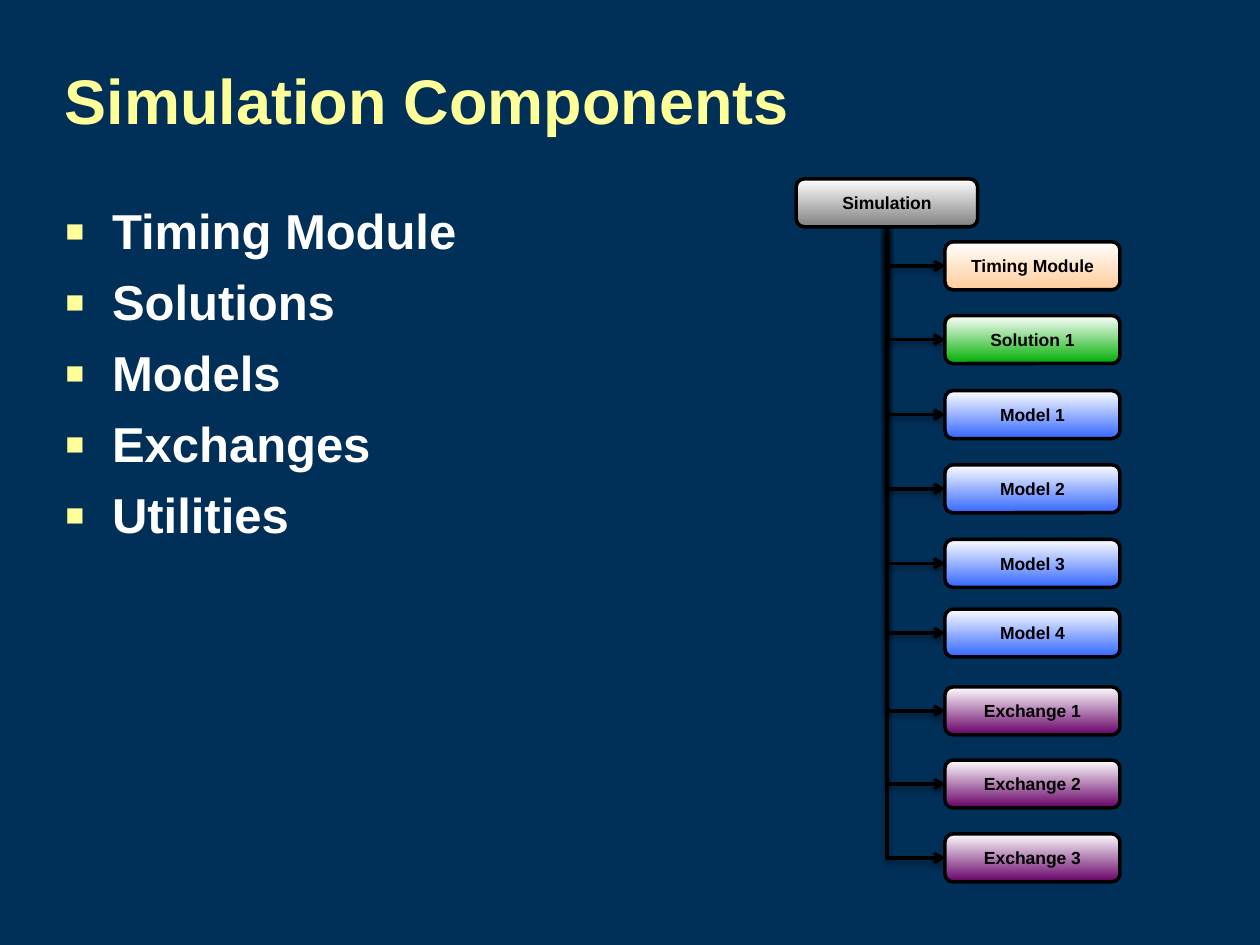
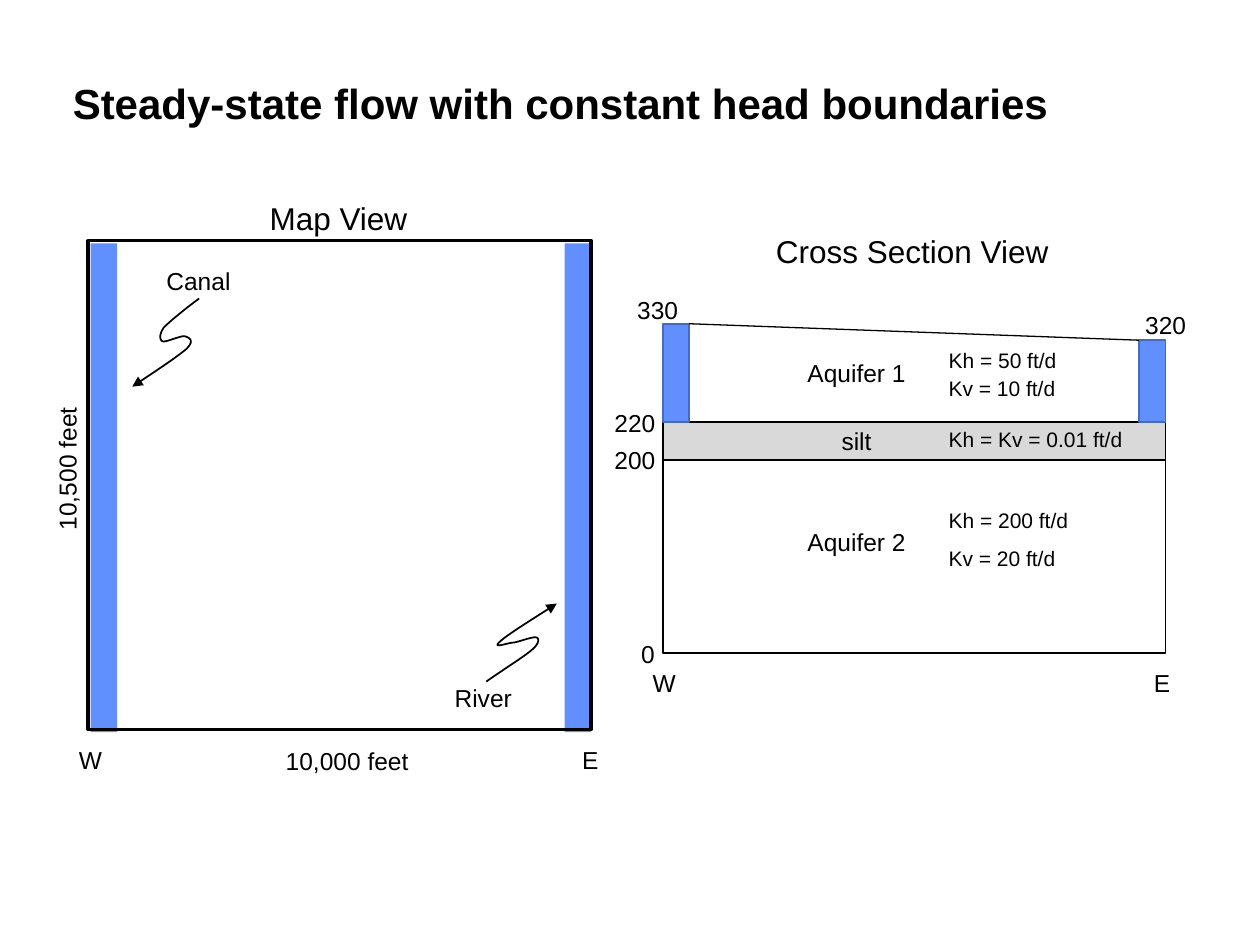
import pptx
import pptx.util
import pptx.dml.color
import pptx.enum.shapes
import pptx.enum.text
import pptx.oxml
import pptx.oxml.ns

Pt = pptx.util.Pt
hue = pptx.dml.color.RGBColor.from_string
qn = pptx.oxml.ns.qn
KIND = pptx.enum.shapes.MSO_SHAPE
LINK = pptx.enum.shapes.MSO_CONNECTOR
TEXT = pptx.enum.text
SPACE = 'xmlns:a="http://schemas.openxmlformats.org/drawingml/2006/main"'

# Shared colours and text looks
NAVY, CREAM, WHITE, BLACK = "002F57", "FFFF99", "FFFFFF", "000000"
WATER, SHORE, SILT = "618FFD", "486ABB", "D9D9D9"
TITLE = {"word_wrap": True, "vertical_anchor": TEXT.MSO_ANCHOR.MIDDLE}
BODY = {"word_wrap": True, "margin_top": Pt(6.6)}
NODE = {"word_wrap": True, "vertical_anchor": TEXT.MSO_ANCHOR.MIDDLE}
LABEL = {"word_wrap": False, "auto_size": TEXT.MSO_AUTO_SIZE.SHAPE_TO_FIT_TEXT}


def write(shape, lines, size, ink, look, bold=False):
    """Fill a shape with one paragraph per line."""
    frame = shape.text_frame
    for name, value in look.items():
        setattr(frame, name, value)
    frame.text = "\n".join(lines)
    for para in frame.paragraphs:
        for run in para.runs:
            font = {"name": "Arial", "size": Pt(size), "bold": bold}
            for name, value in font.items():
                setattr(run.font, name, value)
            run.font.color.rgb = hue(ink)
    return frame


def box(slide, kind, at, fill, edge, width):
    """Add a preset shape; fill and edge may be None."""
    shape = slide.shapes.add_shape(kind, *map(Pt, at))
    shape.shadow.inherit = False
    if fill:
        shape.fill.solid()
        shape.fill.fore_color.rgb = hue(fill)
    else:
        shape.fill.background()
    if edge:
        shape.line.color.rgb = hue(edge)
        shape.line.width = Pt(width)
    else:
        shape.line.fill.background()
    return shape


deck = pptx.Presentation()
deck.slide_width, deck.slide_height = Pt(720), Pt(540)

# Both slides: background and title
heads = [
    ("Simulation Components", (30, 12, 654, 90), 36, CREAM, NAVY),
    ("Steady-state flow with constant head boundaries",
     (34.5, 21.6, 646, 74), 24, BLACK, WHITE),
]
pages = []
for text, at, size, ink, back in heads:
    page = deck.slides.add_slide(deck.slide_layouts[6])
    page.background.fill.solid()
    page.background.fill.fore_color.rgb = hue(back)
    write(page.shapes.add_textbox(*map(Pt, at)), [text], size, ink, TITLE, True)
    pages.append(page)
tree, flow = pages

# Slide 1: bullet list
parts = ["Timing Module", "Solutions", "Models", "Exchanges", "Utilities"]
body = tree.shapes.add_textbox(Pt(30), Pt(108), Pt(654), Pt(354))
frame = write(body, parts, 28, WHITE, BODY, True)
for rank, para in enumerate(frame.paragraphs):
    para.space_before = Pt(7 if rank else 0)
    props = para._p.get_or_add_pPr()
    props.set("marL", str(Pt(27)))
    props.set("indent", str(Pt(-27)))
    for mark in (f'<a:buClr {SPACE}><a:srgbClr val="{CREAM}"/></a:buClr>',
                 f'<a:buSzPct {SPACE} val="125000"/>',
                 f'<a:buFont {SPACE} typeface="Arial"/>',
                 f'<a:buChar {SPACE} char="▪"/>'):
        props.append(pptx.oxml.parse_xml(mark))

# Slide 1: component tree, name / left / top / width / colour
GREEN, BLUE, PLUM = "00AE00", "3366FF", "660066"
high = 27.4
nodes = [("Simulation", 455, 102.2, 103.7, "808080")]
nodes += [(name, 540, top, 100, tone) for name, top, tone in [
    ("Timing Module", 138.2, "FFCC99"),
    ("Solution 1", 180.3, GREEN),
    ("Model 1", 223.2, BLUE),
    ("Model 2", 265.6, BLUE),
    ("Model 3", 308.2, BLUE),
    ("Model 4", 348, BLUE),
    ("Exchange 1", 392.5, PLUM),
    ("Exchange 2", 434.3, PLUM),
    ("Exchange 3", 476.5, PLUM),
]]
for name, left, top, wide, tone in nodes:
    node = box(tree, KIND.ROUNDED_RECTANGLE, (left, top, wide, high),
               tone, BLACK, 2)
    node.fill.gradient()
    node.fill.gradient_angle = 90
    for stop, tint, spot in zip(node.fill.gradient_stops, (tone, WHITE), (0, 1)):
        stop.color.rgb = hue(tint)
        stop.position = spot
    frame = write(node, [name], 10, BLACK, NODE, True)
    frame.paragraphs[0].alignment = TEXT.PP_ALIGN.CENTER

# Slide 1: one bent arrow from the root to each component
trunk, root = 506.9, 102.2 + high
for name, left, top, wide, tone in nodes[1:]:
    drop, run = top + high / 2 - root, left - trunk
    midx, midy = trunk + run / 2, root + drop / 2
    # The turned frame swaps width and height about its centre
    arm = tree.shapes.add_connector(
        LINK.ELBOW, Pt(midx + drop / 2), Pt(midy - run / 2),
        Pt(midx - drop / 2), Pt(midy + run / 2))
    arm.line.color.rgb = hue(BLACK)
    arm.line.width = Pt(2)
    props = arm.element.spPr
    props.find(qn("a:xfrm")).set("rot", "16200000")
    props.find(qn("a:prstGeom")).set("prst", "bentConnector2")
    props.find(qn("a:ln")).append(
        pptx.oxml.parse_xml(f'<a:tailEnd {SPACE} type="arrow"/>'))
    props.append(pptx.oxml.parse_xml(
        f'<a:effectLst {SPACE}><a:outerShdw blurRad="40000" dist="20000" '
        f'dir="5400000" rotWithShape="0"><a:srgbClr val="{BLACK}">'
        '<a:alpha val="38000"/></a:srgbClr></a:outerShdw></a:effectLst>'))

# Slide 2: map and cross section, place / fill / edge / width
for at, fill, edge, width in [
    ((322.6, 139, 15.1, 279.4), WATER, None, 0),
    ((51.8, 139, 15.1, 279.4), WATER, None, 0),
    ((50.4, 137.5, 287.3, 279.4), None, BLACK, 2),
    ((378.7, 262.8, 287.3, 110.2), WHITE, BLACK, 1),
    ((378.7, 241.2, 287.3, 21.6), SILT, BLACK, 1),
    ((378.7, 185, 15.1, 56.2), WATER, SHORE, 1),
    ((650.9, 194.4, 15.1, 46.8), WATER, SHORE, 1),
]:
    box(flow, KIND.RECTANGLE, at, fill, edge, width)

# Slide 2: water table
table = flow.shapes.add_connector(
    LINK.STRAIGHT, Pt(393.8), Pt(185), Pt(650.9), Pt(194.4))
table.line.color.rgb = hue(BLACK)
table.line.width = Pt(0.75)
table.element.spPr.append(pptx.oxml.parse_xml(f"<a:effectLst {SPACE}/>"))

# Slide 2: curved pointers, each a start and then Bezier triples
canal = [(113.8, 170.6),
         (105.1, 177.1), (97.2, 183.6), (93.6, 187.2),
         (90.7, 191.5), (91.4, 194.4), (92.9, 195.1),
         (95, 195.8), (103.7, 191.5), (105.8, 192.2),
         (108, 193), (111.6, 194.4), (106.6, 199.4),
         (101.5, 203.8), (88.6, 212.4), (75.6, 221)]
river = [(277.9, 389.5),
         (288, 382.3), (298.8, 375.8), (303.8, 371.5),
         (308.2, 367.9), (308.2, 365), (306.7, 364.3),
         (304.6, 363.6), (297.4, 366.5), (293.8, 367.2),
         (290.2, 367.2), (281.5, 370.8), (285.1, 367.2),
         (289.4, 362.9), (303.8, 354.2), (318.2, 344.9)]
steps = 12
for knots in (canal, river):
    trail = []
    for first in range(0, len(knots) - 1, 3):
        for step in range(1, steps + 1):
            t = step / steps
            pull = ((1 - t) ** 3, 3 * t * (1 - t) ** 2, 3 * t * t * (1 - t), t ** 3)
            spans = zip(*knots[first:first + 4])
            trail.append([Pt(sum(p * k for p, k in zip(pull, span)))
                          for span in spans])
    pen = flow.shapes.build_freeform(*map(Pt, knots[0]))
    pen.add_line_segments(trail, close=False)
    curve = pen.convert_to_shape()
    curve.shadow.inherit = False
    curve.fill.background()
    curve.line.color.rgb = hue(BLACK)
    curve.line.width = Pt(1)
    curve.element.spPr.find(qn("a:ln")).append(
        pptx.oxml.parse_xml(f'<a:tailEnd {SPACE} type="triangle"/>'))

# Slide 2: labels by text size, text / left / top / width / turn
labels = {
    18: [("Map View", 147, 110, 94.5, 0),
         ("Cross Section View", 436.3, 129, 172, 0)],
    14: [("Canal", 88, 148.3, 51, 0),
         ("River", 252.7, 386.6, 47.5, 0),
         ("W", 38, 422, 28, 0),
         ("E", 325.5, 422, 24, 0),
         ("10,000 feet", 156.2, 422.6, 85, 0),
         ("10,500 feet", -4.3, 255.6, 85, 270),
         ("0", 359.3, 361.4, 22.3, 0),
         ("200", 344, 250.6, 38, 0),
         ("220", 344, 229.7, 38, 0),
         ("330", 357, 165, 38, 0),
         ("320", 647.3, 173.5, 38, 0),
         ("W", 365.8, 378, 28, 0),
         ("E", 652.3, 378, 24, 0),
         ("Aquifer 1", 454.3, 201, 71.3, 0),
         ("Aquifer 2", 454.3, 297.4, 71.3, 0),
         ("silt", 473.8, 239.8, 31.7, 0)],
    12: [("Kh = 50 ft/d", 535, 195, 77, 0),
         ("Kv = 10 ft/d", 535, 211, 76.3, 0),
         ("Kh = Kv = 0.01 ft/d", 535, 240.5, 115.2, 0),
         ("Kh = 200 ft/d", 535, 286.6, 83.5, 0),
         ("Kv = 20 ft/d", 535, 308.2, 76.3, 0)],
}
for size, group in labels.items():
    for text, left, top, wide, turn in group:
        tall = size * 1.2 + 7.2
        label = flow.shapes.add_textbox(*map(Pt, (left, top, wide, tall)))
        label.rotation = turn
        write(label, [text], size, BLACK, LABEL)

deck.save("out.pptx")
